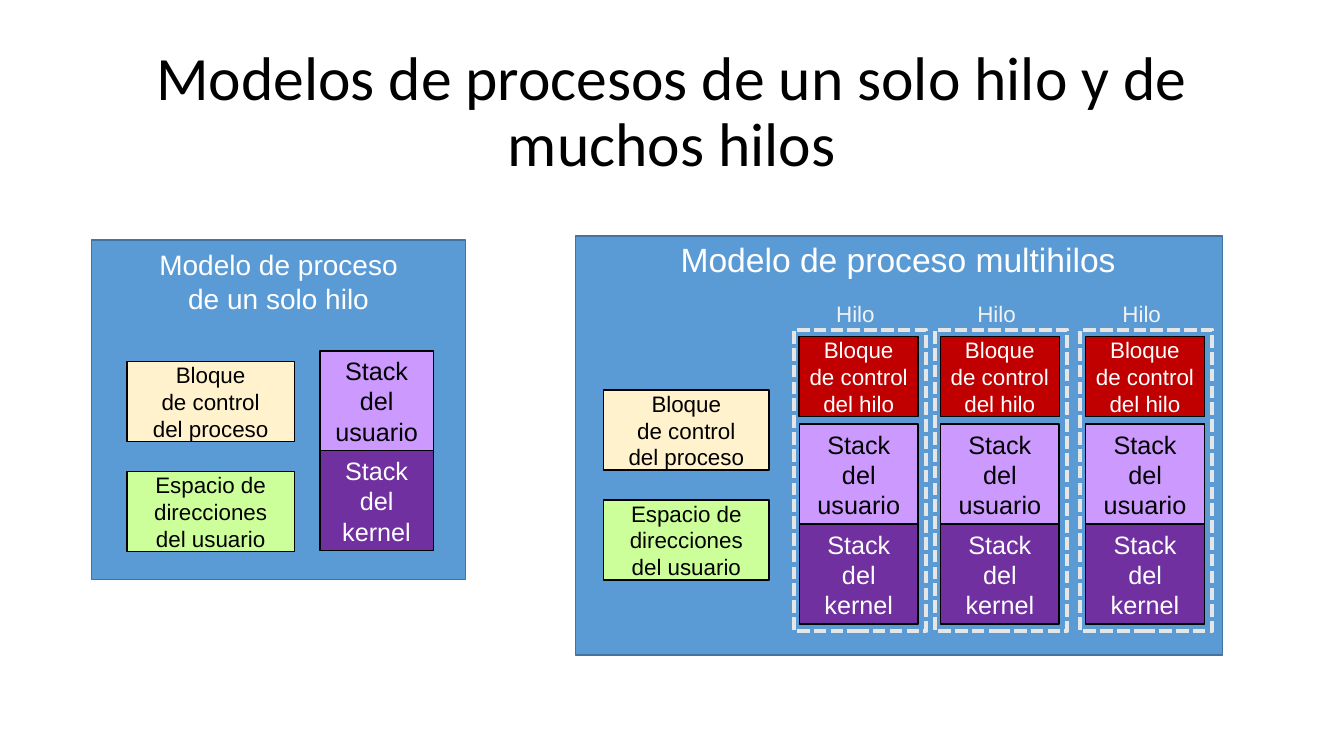
from dataclasses import dataclass

from pptx import Presentation
from pptx.dml.color import RGBColor
from pptx.enum.dml import MSO_LINE_DASH_STYLE as Dash
from pptx.enum.shapes import MSO_SHAPE as Shape
from pptx.enum.text import MSO_ANCHOR as Anchor, PP_ALIGN as Align
from pptx.util import Pt


@dataclass(frozen=True)
class Theme:
    heading_font: str = "Calibri"
    body_font: str = "Arial"
    title_size: int = 44
    multi_size: int = 24
    single_size: int = 20
    stack_size: int = 18
    block_size: int = 16
    black: str = "000000"
    white: str = "FFFFFF"
    label: str = "F2F2F2"
    panel: str = "5B9BD5"
    panel_line: str = "43739E"
    frame: str = "E7E6E6"
    process: str = "FFF2CC"
    memory: str = "CCFF99"
    thread: str = "C00000"
    user: str = "CC99FF"
    kernel: str = "7030A0"


T = Theme()
BLOCK_H = 57
STACK_H = 71.4


def rgb(value):
    return RGBColor.from_string(value)


def write(sp, text, size, color, font=T.body_font, align=Align.CENTER,
          anchor=Anchor.MIDDLE, wrap=False, spacing=1.0):
    tf = sp.text_frame
    tf.text = text
    for name, value in {"word_wrap": wrap, "vertical_anchor": anchor}.items():
        setattr(tf, name, value)
    for p in tf.paragraphs:
        p.alignment, p.line_spacing = align, spacing
        for r in p.runs:
            for name, value in {"name": font, "size": Pt(size)}.items():
                setattr(r.font, name, value)
            r.font.color.rgb = rgb(color)


def rect(slide, box, fill=None, line=T.black, width=1, dash=None):
    sp = slide.shapes.add_shape(Shape.RECTANGLE, *map(Pt, box))
    sp.shadow.inherit = False
    if fill:
        sp.fill.solid()
        sp.fill.fore_color.rgb = rgb(fill)
    else:
        sp.fill.background()
    sp.line.color.rgb = rgb(line)
    sp.line.width = Pt(width)
    if dash:
        sp.line.dash_style = dash
    return sp


def block(slide, box, text, fill, size=T.block_size, color=T.black):
    write(rect(slide, box, fill), text, size, color)


def label(slide, box, text, size, color=T.white, align=Align.CENTER):
    sp = slide.shapes.add_textbox(*map(Pt, box))
    write(sp, text, size, color, align=align, anchor=Anchor.TOP, wrap=True)


def title(slide, box, text):
    sp = slide.shapes.title
    sp.left, sp.top, sp.width, sp.height = map(Pt, box)
    write(sp, text, T.title_size, T.black, T.heading_font,
          wrap=True, spacing=0.9)


def stacks(slide, x, y, w):
    """User stack resting on the kernel stack."""
    for i, (owner, fill, color) in enumerate((
            ("usuario", T.user, T.black), ("kernel", T.kernel, T.white))):
        block(slide, (x, y + i * STACK_H, w, STACK_H),
              f"Stack\ndel\n{owner}", fill, T.stack_size, color)


def process_blocks(slide, x, y, w):
    """Control block above the address space."""
    for i, (text, fill) in enumerate((
            ("Bloque\nde control\ndel proceso", T.process),
            ("Espacio de\ndirecciones\ndel usuario", T.memory))):
        block(slide, (x, y + i * 78.5, w, BLOCK_H), text, fill)


def thread(slide, box):
    x, y, w, h = box
    label(slide, (x + 23, y - 24.5, 58.3, 26.6), "Hilo",
          T.block_size, T.label, Align.LEFT)
    block(slide, (x + 3.6, y + 5, 85, BLOCK_H),
          "Bloque\nde control\ndel hilo", T.thread, color=T.white)
    stacks(slide, x + 3.9, y + 67.5, 84.7)
    rect(slide, box, line=T.frame, width=3, dash=Dash.SQUARE_DOT)


def single_model(slide, box):
    x, y, w, h = box
    rect(slide, box, T.panel, T.panel_line)
    label(slide, (x, y + 2, w, 55.7),
          "Modelo de proceso\nde un solo hilo", T.single_size)
    process_blocks(slide, x + 25.2, y + 87, 119.5)
    stacks(slide, x + 163, y + 79.2, 81)


def multi_model(slide, box):
    x, y, w, h = box
    rect(slide, box, T.panel, T.panel_line)
    label(slide, (x + 52, y - 1.4, 357, 36.4),
          "Modelo de proceso multihilos", T.multi_size)
    process_blocks(slide, x + 20.2, y + 110.2, 118)
    for dx in (156.2, 257, 360.7):
        thread(slide, (x + dx, y + 67, 94.3, 215.3))


# Slide
prs = Presentation()
prs.slide_width, prs.slide_height = Pt(960), Pt(540)
slide = prs.slides.add_slide(prs.slide_layouts[5])

# Title and the two models
title(slide, (66, 28.8, 828, 104.4),
      "Modelos de procesos de un solo hilo y de muchos hilos")
single_model(slide, (65.5, 171.4, 267, 242.6))
multi_model(slide, (411, 168.5, 462.2, 299.5))

prs.save("out.pptx")
